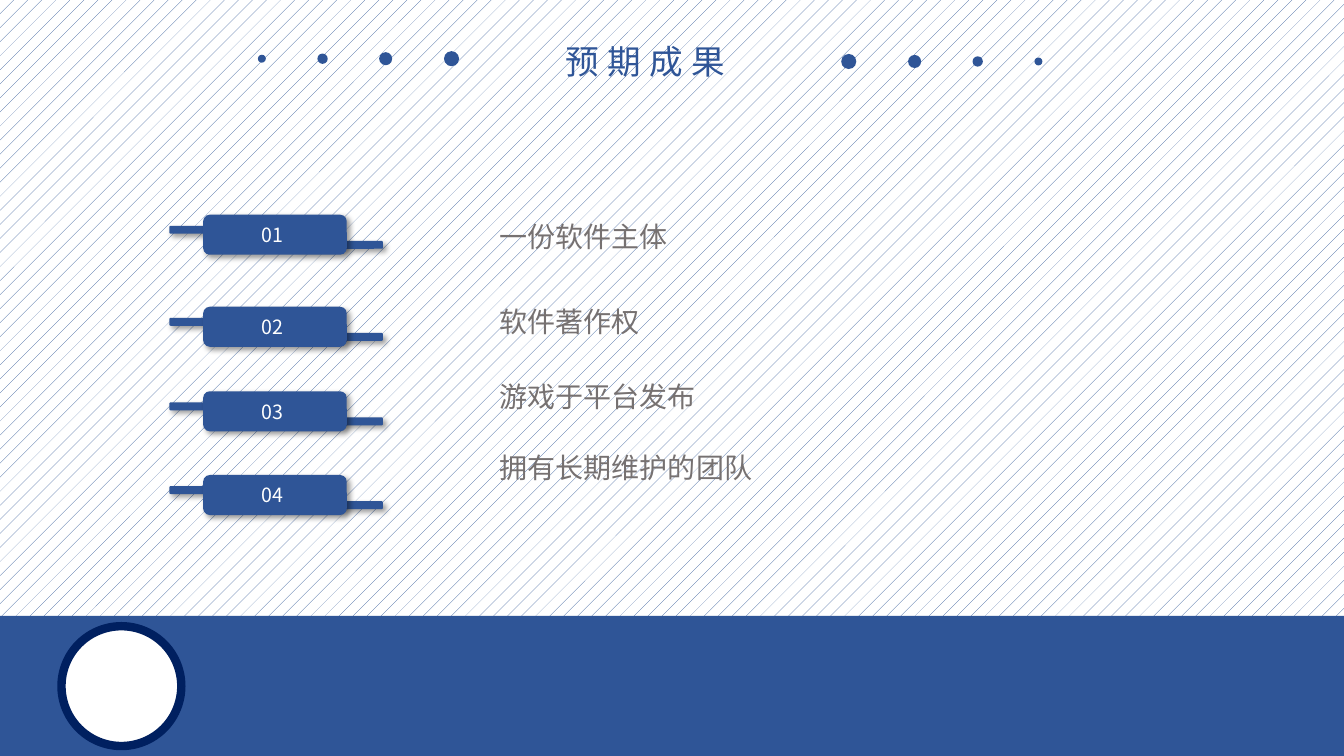
from lxml import etree
from pptx import Presentation
from pptx.dml.color import RGBColor
from pptx.enum.dml import MSO_PATTERN
from pptx.enum.shapes import MSO_SHAPE
from pptx.enum.text import MSO_ANCHOR, MSO_AUTO_SIZE, PP_ALIGN
from pptx.oxml import parse_xml
from pptx.oxml.ns import qn
from pptx.util import Cm, Pt

ELLIPSE, RECTANGLE, ROUNDED = MSO_SHAPE.OVAL, MSO_SHAPE.RECTANGLE, MSO_SHAPE.ROUNDED_RECTANGLE
TOP, MIDDLE = MSO_ANCHOR.TOP, MSO_ANCHOR.MIDDLE
LEFT, CENTER = PP_ALIGN.LEFT, PP_ALIGN.CENTER
NO_AUTOFIT = MSO_AUTO_SIZE.NONE
SPARSE_DOTS = MSO_PATTERN.PERCENT_5

BLUE = RGBColor(0x2F, 0x55, 0x97)
NAVY = RGBColor(0x00, 0x20, 0x60)
GRAY = RGBColor(0x76, 0x71, 0x71)
WHITE = RGBColor(0xFF, 0xFF, 0xFF)
TITLE_FONT = "Noto Sans CJK JP"
BODY_FONT = "Noto Sans CJK SC"

SLIDE_WIDTH, SLIDE_HEIGHT = Cm(33.87), Cm(19.05)
DOTS = [(0, 0.2), (1.53, 0.26), (3.12, 0.33), (4.78, 0.38)]  # offset, diameter
BADGE_TOPS = [5.41, 7.73, 9.86, 11.97]
OUTCOMES = [("一份软件主体", 0), ("软件著作权", 36.5),
            ("游戏于平台发布", 29.5), ("拥有长期维护的团队", 27)]  # text, space before

SHADOW = """<a:effectLst xmlns:a="http://schemas.openxmlformats.org/drawingml/2006/main">
<a:outerShdw blurRad="50800" dist="38100" dir="2700000" algn="tl" rotWithShape="0">
<a:srgbClr val="000000"><a:alpha val="40000"/></a:srgbClr></a:outerShdw></a:effectLst>"""


def add_run(paragraph, text, size, color, font_name):
    run = paragraph.add_run()
    run.text = text
    run.font.size = Pt(size)
    run.font.color.rgb = color
    run.font.name = font_name
    properties = run.font._element
    etree.SubElement(properties, qn("a:ea")).set("typeface", font_name)
    return properties


def add_filled(shapes, kind, left, top, width, height, color=BLUE):
    shape = shapes.add_shape(kind, left, top, width, height)
    shape.shadow.inherit = False
    shape.fill.solid()
    shape.fill.fore_color.rgb = color
    shape.line.fill.background()
    return shape


def add_raised(shapes, left, top, width, height):
    """Add a rounded bar that casts a soft shadow."""
    shape = add_filled(shapes, ROUNDED, left, top, width, height)
    properties = shape._element.spPr
    properties.replace(properties.find(qn("a:effectLst")), parse_xml(SHADOW))
    return shape


def place(placeholder, left, top, width, height):
    placeholder.left, placeholder.top = left, top
    placeholder.width, placeholder.height = width, height
    frame = placeholder.text_frame
    frame.auto_size = NO_AUTOFIT
    frame.vertical_anchor = TOP
    return frame


def fill_title(slide, left, top, width, height):
    frame = place(slide.shapes.title, left, top, width, height)
    frame.word_wrap = False
    paragraph = frame.paragraphs[0]
    paragraph.alignment = LEFT
    add_run(paragraph, "预期成果", 24, BLUE, TITLE_FONT).set("spc", "600")


def add_dots(slide, start, middle, direction):
    """Add dots that grow from the outer start towards the title."""
    dots = slide.shapes.add_group_shape()
    for offset, diameter in DOTS:
        size = Cm(diameter)
        center = start + direction * Cm(offset)
        add_filled(dots.shapes, ELLIPSE, center - size // 2, middle - size // 2, size, size)


def add_footer(slide, left, top, width, height):
    add_filled(slide.shapes, RECTANGLE, left, top, width, height)
    disc = add_filled(slide.shapes, ELLIPSE, left + Cm(1.55), top + Cm(0.26),
                      Cm(3.02), Cm(3.02), WHITE)
    disc.line.color.rgb = NAVY
    disc.line.width = Pt(6)


def add_badge(slide, number, left, top, width, height):
    """Add a numbered plate with a bar sticking out on each side."""
    badge = slide.shapes.add_group_shape()
    bar_width, bar_height, overhang = Cm(2.2), Cm(0.2), Cm(0.85)
    add_raised(badge.shapes, left + width - bar_width, top + Cm(0.66), bar_width, bar_height)
    add_raised(badge.shapes, left, top + Cm(0.28), bar_width, bar_height)
    plate = add_raised(badge.shapes, left + overhang, top, Cm(3.62), height)
    plate.text_frame.vertical_anchor = MIDDLE
    paragraph = plate.text_frame.paragraphs[0]
    paragraph.alignment = CENTER
    add_run(paragraph, f"{number:02d} ", 14, WHITE, BODY_FONT)


def fill_outcomes(slide, left, top, width, height):
    frame = place(slide.placeholders[1], left, top, width, height)
    frame.word_wrap = True
    for index, (text, space_before) in enumerate(OUTCOMES):
        paragraph = frame.add_paragraph() if index else frame.paragraphs[0]
        paragraph.alignment = LEFT
        paragraph.space_before = Pt(space_before)
        properties = paragraph._p.get_or_add_pPr()
        properties.set("marL", "0")
        properties.set("indent", "0")
        etree.SubElement(properties, qn("a:buNone"))
        add_run(paragraph, text, 20, GRAY, BODY_FONT)


def build_outcomes_slide(presentation):
    slide = presentation.slides.add_slide(presentation.slide_layouts[1])
    background = slide.background.fill
    background.patterned()
    background.pattern = SPARSE_DOTS
    background.fore_color.rgb = BLUE
    background.back_color.rgb = WHITE

    add_dots(slide, Cm(6.6), Cm(1.48), 1)
    add_dots(slide, Cm(26.17), Cm(1.55), -1)
    fill_title(slide, Cm(14), Cm(0.91), Cm(4.78), Cm(1.27))
    footer_top = Cm(15.52)
    add_footer(slide, 0, footer_top, SLIDE_WIDTH, SLIDE_HEIGHT - footer_top)
    for number, top in enumerate(BADGE_TOPS, start=1):
        add_badge(slide, number, Cm(4.27), Cm(top), Cm(5.38), Cm(1.01))
    fill_outcomes(slide, Cm(12.34), Cm(5.41), Cm(19.38), Cm(7.5))


def main():
    presentation = Presentation()
    presentation.slide_width, presentation.slide_height = SLIDE_WIDTH, SLIDE_HEIGHT
    build_outcomes_slide(presentation)
    presentation.save("out.pptx")


if __name__ == "__main__":
    main()
